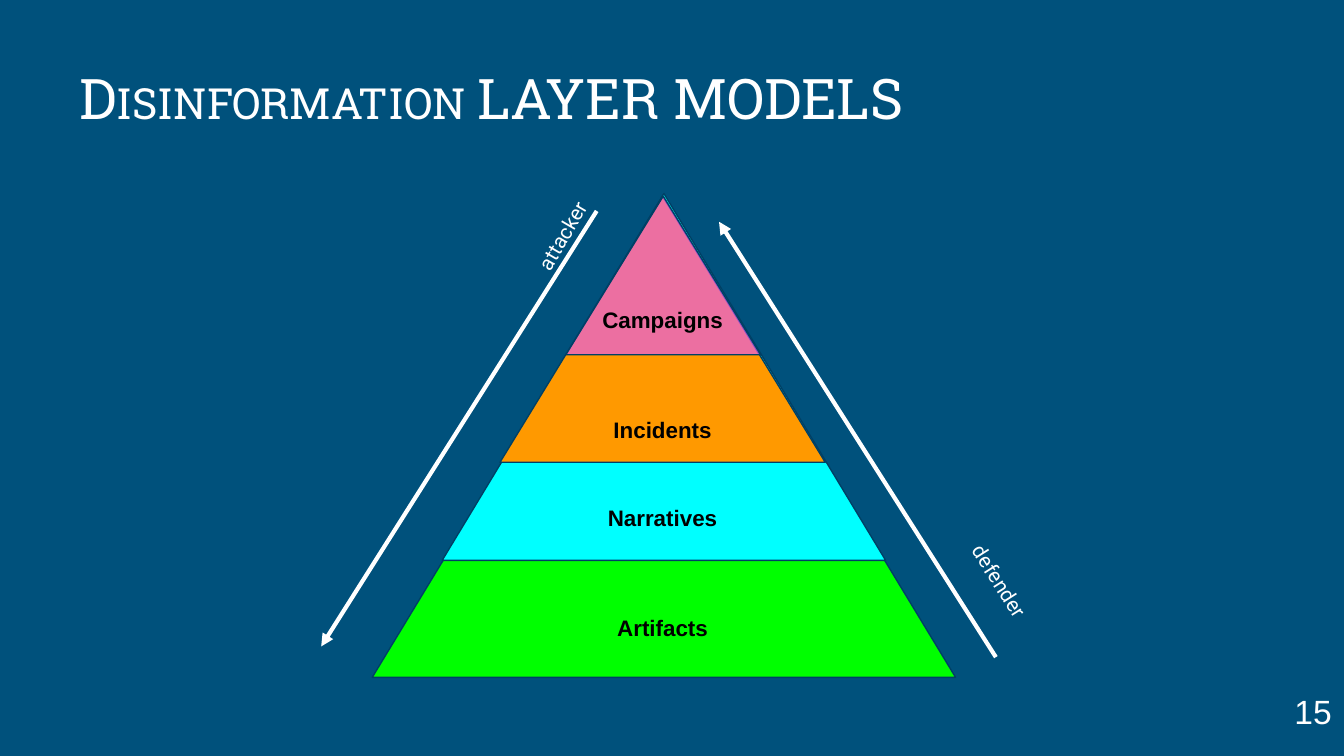
from lxml import etree
from pptx import Presentation
from pptx.dml.color import RGBColor
from pptx.enum.shapes import MSO_CONNECTOR, MSO_SHAPE
from pptx.enum.text import MSO_ANCHOR, MSO_AUTO_SIZE, PP_ALIGN
from pptx.oxml.ns import qn
from pptx.util import Inches, Pt

STRAIGHT = MSO_CONNECTOR.STRAIGHT
TRIANGLE = MSO_SHAPE.ISOSCELES_TRIANGLE
TOP, MIDDLE = MSO_ANCHOR.TOP, MSO_ANCHOR.MIDDLE
LEFT, CENTER, RIGHT = PP_ALIGN.LEFT, PP_ALIGN.CENTER, PP_ALIGN.RIGHT
FIXED_SIZE = MSO_AUTO_SIZE.NONE

COLORS = {
    "background": "00517C",
    "white": "FFFFFF",
    "black": "000000",
    "outline": "004065",
    "artifacts": "00FF00",
    "narratives": "00FFFF",
    "incidents": "FF9900",
    "campaigns": "E157FF",
}

# Triangles from back to front: name, left, top, width, height, opacity %, label top
LAYERS = [
    ("Artifacts", 2.77, 1.46, 4.34, 3.58, 100, 4.5),
    ("Narratives", 3.29, 1.44, 3.3, 2.73, 100, 3.68),
    ("Incidents", 3.72, 1.46, 2.42, 1.98, 100, 3.03),
    ("Campaigns", 4.21, 1.46, 1.45, 1.18, 63, 2.21),
]

# Viewpoints: name, arrow start, arrow end, label frame, label rotation
VIEWPOINTS = [
    ("attacker", (4.44, 1.57), (2.39, 4.81), (3.48, 1.59, 1.41, 0.33), 300.4),
    ("defender", (7.41, 4.89), (5.35, 1.65), (6.78, 4.16, 1.31, 0.33), 57.6),
]


def color(name):
    return RGBColor.from_string(COLORS[name])


def add_text(page, frame, spans, font, ink="white", bold=False, align=CENTER,
             anchor=TOP, inset=0.07, wrap=True):
    """Add a one-paragraph text box; spans are (text, size) pairs."""
    box = page.shapes.add_textbox(*map(Inches, frame))
    text = box.text_frame
    text.word_wrap = wrap
    text.auto_size = FIXED_SIZE
    text.vertical_anchor = anchor
    text.margin_left = text.margin_right = Inches(inset)
    text.margin_top = text.margin_bottom = Inches(inset)
    para = text.paragraphs[0]
    para.alignment = align
    for words, size in spans:
        span = para.add_run()
        span.text = words
        span.font.name = font
        span.font.size = Pt(size)
        span.font.bold = bold
        span.font.color.rgb = color(ink)
    return box


def add_triangle(page, frame, fill, opacity):
    triangle = page.shapes.add_shape(TRIANGLE, *map(Inches, frame))
    triangle.shadow.inherit = False
    triangle.fill.solid()
    triangle.fill.fore_color.rgb = color(fill)
    triangle.line.color.rgb = color("outline")
    triangle.line.width = Pt(0.75)
    if opacity < 100:
        tint = triangle._element.spPr.find(f"{qn('a:solidFill')}/{qn('a:srgbClr')}")
        etree.SubElement(tint, qn("a:alpha"), val=str(opacity * 1000))


def add_arrow(page, start, end):
    arrow = page.shapes.add_connector(STRAIGHT, *map(Inches, start + end))
    arrow.line.color.rgb = color("white")
    arrow.line.width = Pt(2.25)
    outline = arrow._element.spPr.find(qn("a:ln"))
    etree.SubElement(outline, qn("a:tailEnd"), type="triangle")
    etree.SubElement(arrow._element.spPr, qn("a:effectLst"))


def main():
    # Widescreen page, 16:9
    deck = Presentation()
    deck.slide_width = Inches(10)
    deck.slide_height = Inches(10 * 9 / 16)
    page = deck.slides.add_slide(deck.slide_layouts[6])
    page.background.fill.solid()
    page.background.fill.fore_color.rgb = color("background")

    # Title in small capitals, and page number
    title = [("D", 30), ("ISINFORMATION ", 23), ("LAYER MODELS", 30)]
    add_text(page, (0.55, 0.21, 8.89, 1.03), title, "Roboto Slab",
             align=LEFT, anchor=MIDDLE, inset=0.04)
    add_text(page, (9.58, 5.1, 0.37, 0.38), [("15", 18)], "Arial",
             align=RIGHT, anchor=MIDDLE, inset=0.04, wrap=False)

    # Pyramid of overlapping triangles, then its labels
    for name, left, top, width, height, opacity, _ in LAYERS:
        add_triangle(page, (left, top, width, height), name.lower(), opacity)
    for name, *_, label_top in reversed(LAYERS):
        add_text(page, (4.17, label_top, 1.52, 0.34), [(name, 12)], "Arial",
                 ink="black", bold=True)

    # Arrows along the sides with slanted labels
    for name, start, end, frame, angle in VIEWPOINTS:
        add_arrow(page, start, end)
        label = add_text(page, frame, [(name, 11)], "Roboto")
        label.rotation = angle

    deck.save("out.pptx")


if __name__ == "__main__":
    main()
